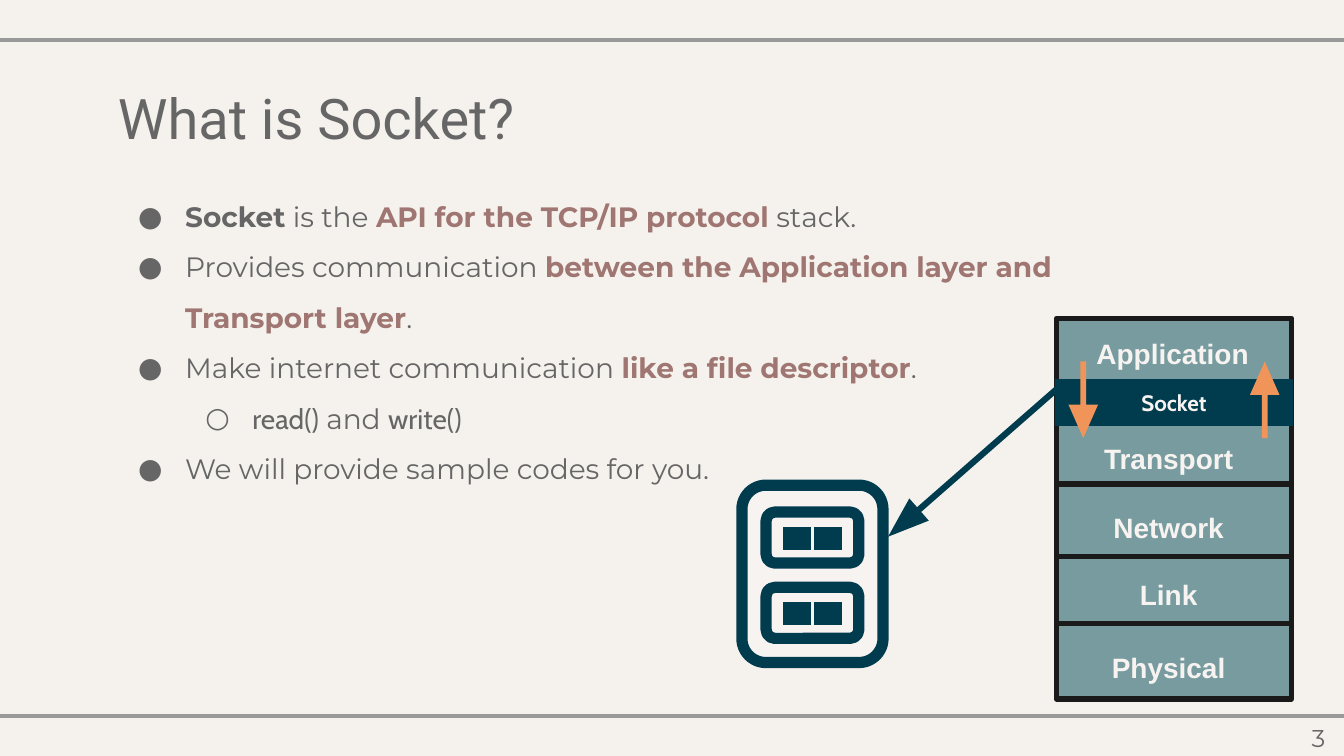
from dataclasses import dataclass

from lxml import etree
from pptx import Presentation
from pptx import util as u
from pptx.dml.color import RGBColor
from pptx.enum import shapes, text
from pptx.oxml import ns

SLIDE_WIDTH = 10
SLIDE_HEIGHT = SLIDE_WIDTH * 9 / 16

COLORS = {
    "background": "F5F2EE",
    "rule": "999999",
    "body": "666666",
    "accent": "9F7671",
    "layer": "779B9F",
    "outline": "1A1A1A",
    "light": "F6F3F1",
    "navy": "013C4E",
    "orange": "F19459",
}


@dataclass
class Box:
    left: float
    top: float
    width: float
    height: float

    def lengths(self) -> list:
        return [u.Inches(value) for value in (self.left, self.top, self.width, self.height)]


@dataclass
class Style:
    size: float
    font: str
    color: str = "body"
    bold: bool = False


@dataclass
class Bullet:
    runs: list
    level: int = 0


BODY = Style(15, "Montserrat")
STRONG = Style(15, "Montserrat", bold=True)
ACCENT = Style(15, "Montserrat", "accent", True)
CODE = Style(15, "Cabin")
LAYER = Style(15, "Arial", "light", True)
MARKERS = "●○"

BULLETS = [
    Bullet([("Socket", STRONG), (" is the ", BODY),
            ("API for the TCP/IP protocol", ACCENT), (" stack.", BODY)]),
    Bullet([("Provides communication ", BODY),
            ("between the Application layer and Transport layer", ACCENT), (".", BODY)]),
    Bullet([("Make internet communication ", BODY),
            ("like a file descriptor", ACCENT), (".", BODY)]),
    Bullet([("read()", CODE), (" and ", BODY), ("write()", CODE)], level=1),
    Bullet([("We will provide sample codes for you.", BODY)]),
]
LAYER_LABELS = [
    ("Application", 7.85, 2.42),
    ("Transport", 7.82, 3.2),
    ("Network", 7.82, 3.71),
    ("Link", 7.82, 4.21),
    ("Physical", 7.82, 4.75),
]


def rgb(name: str) -> RGBColor:
    return RGBColor.from_string(COLORS[name])


def format_font(font, style: Style) -> None:
    font.size = u.Pt(style.size)
    font.name = style.font
    font.bold = style.bold
    font.color.rgb = rgb(style.color)


def add_text_box(slide, box: Box, vertical_inset: float = 0.1):
    text_frame = slide.shapes.add_textbox(*box.lengths()).text_frame
    text_frame.word_wrap = True
    text_frame.margin_left = text_frame.margin_right = u.Inches(0.1)
    text_frame.margin_top = text_frame.margin_bottom = u.Inches(vertical_inset)
    return text_frame


def set_text(text_frame, content: str, style: Style, align=text.PP_ALIGN.LEFT) -> None:
    text_frame.text = content
    paragraph = text_frame.paragraphs[0]
    paragraph.alignment = align
    format_font(paragraph.runs[0].font, style)


def add_bullet(paragraph, bullet: Bullet) -> None:
    paragraph.level = bullet.level
    paragraph.line_spacing = 1.5
    properties = paragraph._p.get_or_add_pPr()
    properties.set("marL", str(u.Inches(0.5 * (bullet.level + 1))))
    properties.set("indent", str(u.Inches(-0.35)))
    color = etree.SubElement(properties, ns.qn("a:buClr"))
    etree.SubElement(color, ns.qn("a:srgbClr"), val=COLORS["body"])
    etree.SubElement(properties, ns.qn("a:buFont"), typeface=BODY.font)
    etree.SubElement(properties, ns.qn("a:buChar"), char=MARKERS[bullet.level])
    for content, style in bullet.runs:
        run = paragraph.add_run()
        run.text = content
        format_font(run.font, style)


def add_line(slide, start: tuple, end: tuple, color: str, width: float) -> None:
    points = [u.Inches(value) for value in (*start, *end)]
    connector = slide.shapes.add_connector(shapes.MSO_CONNECTOR.STRAIGHT, *points)
    connector.line.color.rgb = rgb(color)
    connector.line.width = u.Pt(width)
    etree.SubElement(connector._element.spPr, ns.qn("a:effectLst"))


def add_shape(slide, kind, box: Box, fill: str, line: str = "", width: float = 0,
              adjustments: tuple = (), rotation: float = 0):
    shape = slide.shapes.add_shape(kind, *box.lengths())
    shape.shadow.inherit = False
    shape.fill.solid()
    shape.fill.fore_color.rgb = rgb(fill)
    if line:
        shape.line.color.rgb = rgb(line)
        shape.line.width = u.Pt(width)
    else:
        shape.line.fill.background()
    for index, value in enumerate(adjustments):
        shape.adjustments[index] = value
    shape.rotation = rotation
    return shape


def add_layer_stack(slide) -> None:
    kinds = shapes.MSO_SHAPE
    add_shape(slide, kinds.RECTANGLE, Box(7.86, 2.37, 1.75, 2.83), "layer", "outline", 3)
    for y in (3.6, 4.14, 4.64):
        add_line(slide, (7.85, y), (9.61, y), "outline", 3)
    socket = add_shape(slide, kinds.RECTANGLE, Box(7.85, 2.82, 1.77, 0.35), "navy")
    socket.text_frame.vertical_anchor = text.MSO_ANCHOR.MIDDLE
    set_text(socket.text_frame, "Socket", Style(12, "Cabin", "light", True),
             text.PP_ALIGN.CENTER)
    for left, rotation in ((7.95, 0), (9.3, 180)):
        add_shape(slide, kinds.DOWN_ARROW, Box(left, 2.69, 0.22, 0.57), "orange",
                  adjustments=(0.19, 1.13), rotation=rotation)
    for label, left, top in LAYER_LABELS:
        text_frame = add_text_box(slide, Box(left, top, 1.75, 0.35), 0.05)
        text_frame.auto_size = text.MSO_AUTO_SIZE.SHAPE_TO_FIT_TEXT
        set_text(text_frame, label, LAYER, text.PP_ALIGN.CENTER)
        text_frame.paragraphs[0].line_spacing = 1.15


def add_socket_icon(slide) -> None:
    drawer_tops = (3.81, 4.37)
    frames = [Box(5.52, 3.61, 1.05, 1.32)] + [Box(5.7, top, 0.69, 0.38) for top in drawer_tops]
    for frame in frames:
        add_shape(slide, shapes.MSO_SHAPE.ROUNDED_RECTANGLE, frame, "light", "navy", 6, (0.17,))
    for top in drawer_tops:
        for x in (5.93, 6.16):
            add_line(slide, (x, top + 0.11), (x, top + 0.28), "navy", 15)
    add_shape(slide, shapes.MSO_SHAPE.RIGHT_ARROW, Box(6.4, 3.33, 1.68, 0.22), "navy",
              adjustments=(0.21, 1.39), rotation=138.8)


def main() -> None:
    presentation = Presentation()
    presentation.slide_width = u.Inches(SLIDE_WIDTH)
    presentation.slide_height = u.Inches(SLIDE_HEIGHT)
    slide = presentation.slides.add_slide(presentation.slide_layouts[6])
    slide.background.fill.solid()
    slide.background.fill.fore_color.rgb = rgb("background")

    for y in (0.3, 5.33):
        add_line(slide, (-0.08, y), (10.08, y), "rule", 2.25)
    set_text(add_text_box(slide, Box(0.78, 0.52, 8.16, 0.63)), "What is Socket?",
             Style(30, "Roboto"))
    body = add_text_box(slide, Box(0.78, 1.26, 8.17, 3.85))
    for index, bullet in enumerate(BULLETS):
        paragraph = body.add_paragraph() if index else body.paragraphs[0]
        add_bullet(paragraph, bullet)
    add_layer_stack(slide)
    add_socket_icon(slide)
    set_text(add_text_box(slide, Box(9.36, 5.28, 0.6, 0.43)), "3",
             Style(13, "Montserrat"), text.PP_ALIGN.RIGHT)
    presentation.save("out.pptx")


if __name__ == "__main__":
    main()
